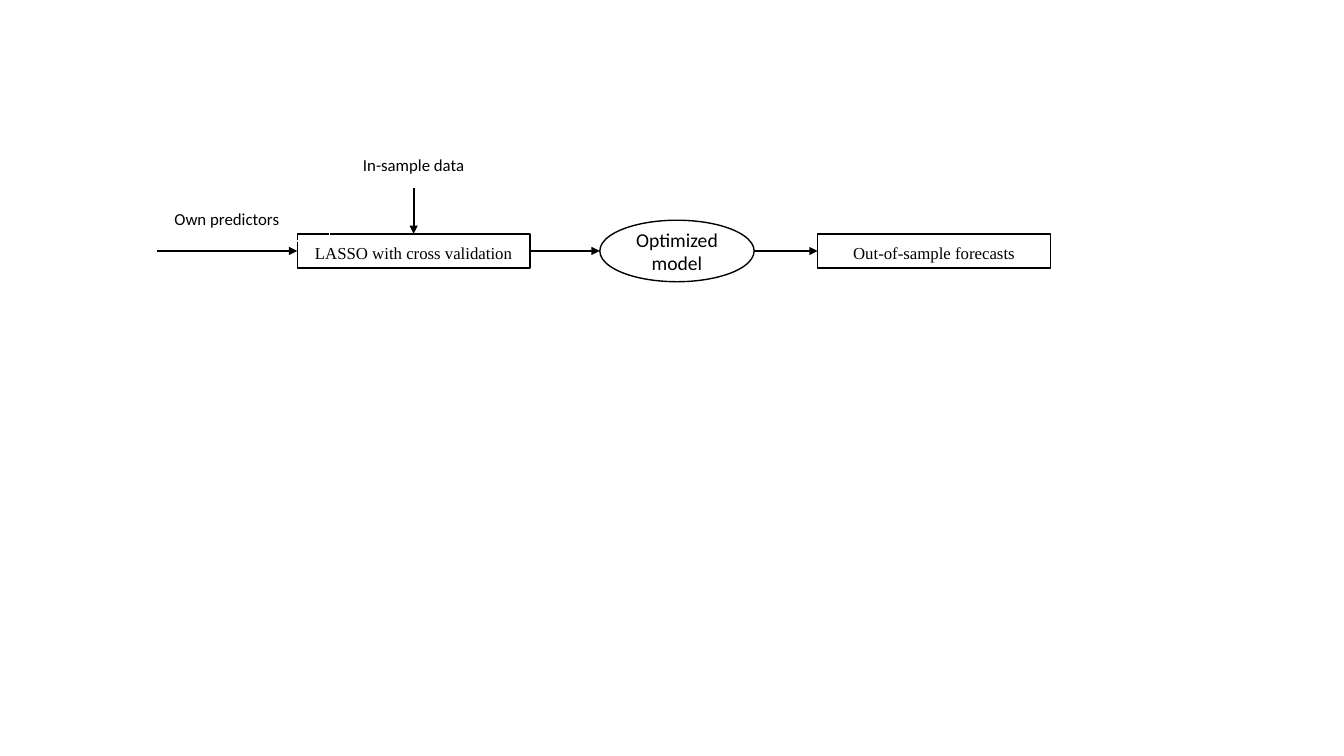
from dataclasses import dataclass
from typing import Optional

from lxml.etree import SubElement as Sub
from pptx import Presentation
from pptx.dml.color import RGBColor as Rgb
from pptx.enum.shapes import MSO_CONNECTOR as Conn, MSO_SHAPE as Kind
from pptx.enum.text import MSO_ANCHOR as Anchor, PP_ALIGN as Align
from pptx.oxml.ns import qn
from pptx.shapes.autoshape import Shape
from pptx.util import Inches, Pt

COLORS = {"ink": "000000", "paper": "FFFFFF"}
TOP, LEFT, BOTTOM, RIGHT = range(4)

# Slide, with a grid of 100 columns by 100 rows
deck = Presentation()
deck.slide_width, deck.slide_height = Inches(13.33), Inches(7.5)
slide = deck.slides.add_slide(deck.slide_layouts[6])
COL, ROW = deck.slide_width / 100, deck.slide_height / 100
AXIS = 33.2


@dataclass
class Style:
    kind: Kind
    wide: float
    high: float
    font: str
    size: int
    edge: str = "ink"
    fill: Optional[str] = "paper"
    lead: Optional[float] = None
    after: Optional[int] = None


@dataclass
class Node:
    text: str
    style: Style
    x: float  # centre column
    y: float = AXIS  # centre row

    def side(self, site: int) -> tuple[float, float]:
        dx, dy = ((0, -1), (-1, 0), (0, 1), (1, 0))[site]
        return self.x + dx * self.style.wide / 2, self.y + dy * self.style.high / 2


BOX = Style(Kind.RECTANGLE, 17.33, 4.53, "Times New Roman", 12, lead=1.15, after=10)
OVAL = Style(Kind.OVAL, 11.48, 8.13, "Calibri", 14)
LABEL = Style(Kind.RECTANGLE, 15.3, 5.87, "Calibri", 12, edge="paper", fill=None)


def color(name: str) -> Rgb:
    return Rgb.from_string(COLORS[name])


def draw(node: Node) -> Shape:
    style = node.style
    left, top = node.side(LEFT)[0], node.side(TOP)[1]
    shape = slide.shapes.add_shape(
        style.kind, round(left * COL), round(top * ROW),
        round(style.wide * COL), round(style.high * ROW))
    shape.shadow.inherit = False
    if style.fill:
        shape.fill.solid()
        shape.fill.fore_color.rgb = color(style.fill)
    else:
        shape.fill.background()
    shape.line.color.rgb = color(style.edge)
    shape.line.width = Pt(1)

    frame = shape.text_frame
    frame.text = node.text
    frame.word_wrap = True
    frame.vertical_anchor = Anchor.MIDDLE
    para = frame.paragraphs[0]
    para.alignment = Align.CENTER
    if style.lead:
        para.line_spacing = style.lead
    if style.after:
        para.space_after = Pt(style.after)
    font = para.runs[0].font
    font.name, font.size = style.font, Pt(style.size)
    font.color.rgb = color("ink")
    return shape


def link(start: tuple[float, float], end: tuple[float, float],
         tail: Optional[tuple[Shape, int]] = None,
         head: Optional[tuple[Shape, int]] = None) -> None:
    """Draw an arrow; tail and head name the rectangle sides it joins."""
    (x1, y1), (x2, y2) = start, end
    line = slide.shapes.add_connector(
        Conn.STRAIGHT, round(x1 * COL), round(y1 * ROW),
        round(x2 * COL), round(y2 * ROW))
    if tail:
        line.begin_connect(*tail)
    if head:
        line.end_connect(*head)
    line.line.color.rgb = color("ink")
    line.line.width = Pt(1.5)
    props = line._element.spPr
    Sub(props.find(qn("a:ln")), qn("a:tailEnd"), type="triangle")
    Sub(props, qn("a:effectLst"))


lasso = Node("LASSO with cross validation", BOX, 30.78)
own = Node("Own predictors", LABEL, 16.88, 28.93)
model = Node("Optimized model", OVAL, 50.37)
result = Node("Out-of-sample forecasts", BOX, 69.5)
sample = Node("In-sample data", LABEL, 30.78, 21.87)

# Own predictors into the LASSO box
fit = draw(lasso)
link((11.7, AXIS), lasso.side(LEFT), head=(fit, LEFT))
draw(own)

# LASSO box to model to forecasts
draw(model)
link(lasso.side(RIGHT), model.side(LEFT), tail=(fit, RIGHT))
out = draw(result)
link(model.side(RIGHT), result.side(LEFT), head=(out, LEFT))

# In-sample data down into the LASSO box
data = draw(sample)
link(sample.side(BOTTOM), lasso.side(TOP), tail=(data, BOTTOM), head=(fit, TOP))

deck.save("out.pptx")
